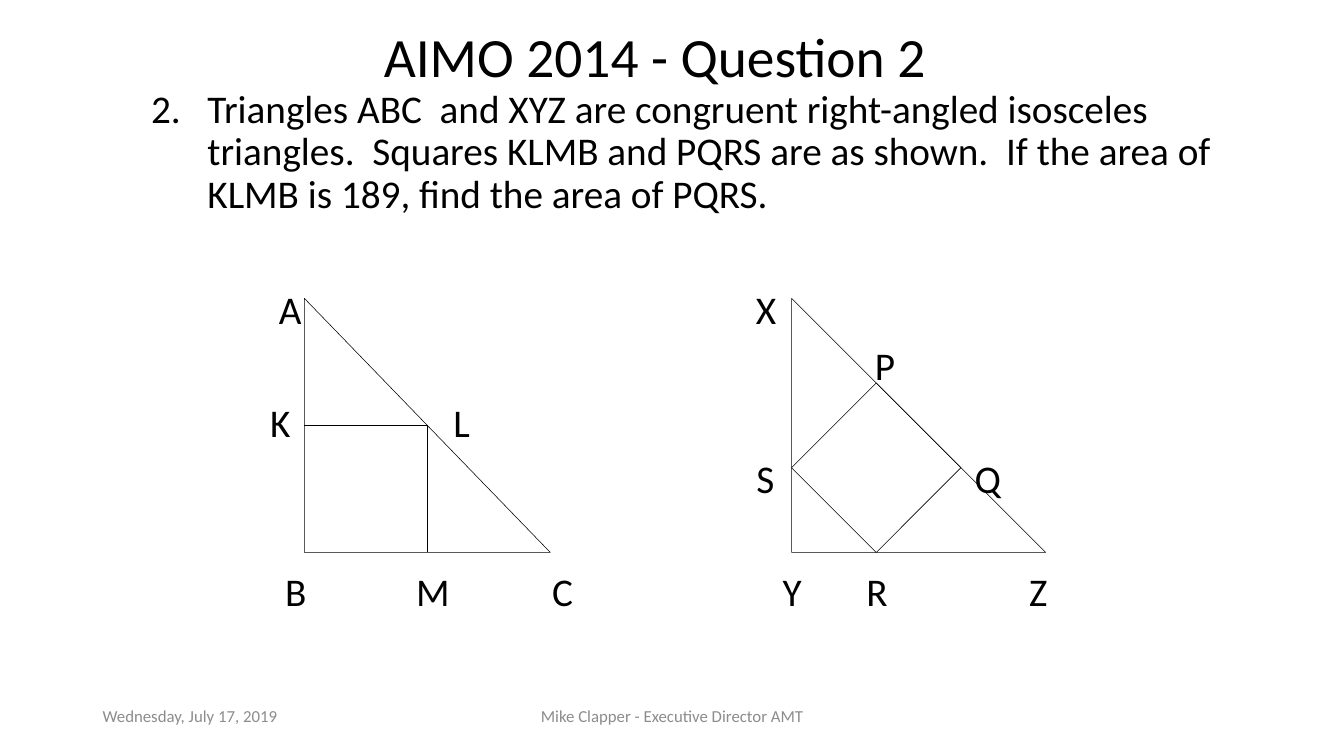
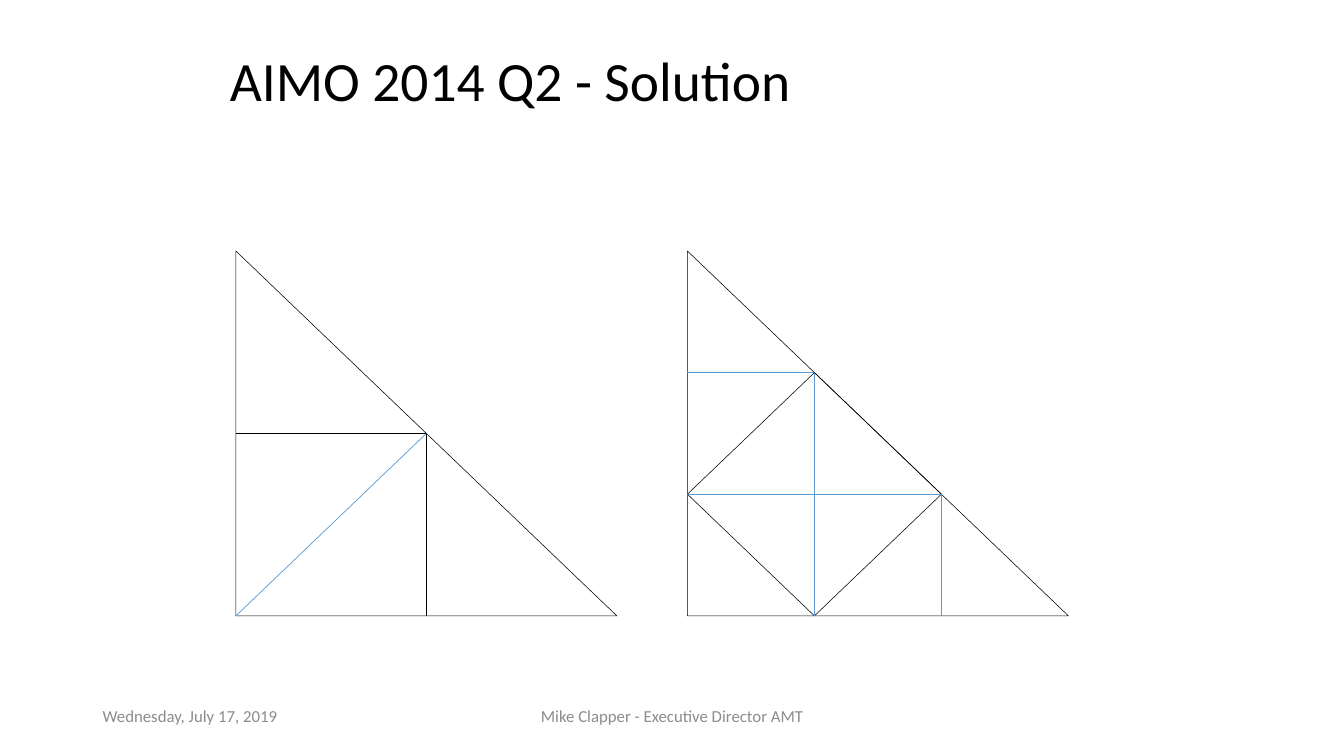
from lxml.etree import SubElement
from pptx import Presentation
from pptx.dml.color import RGBColor
from pptx.enum.shapes import MSO_CONNECTOR
from pptx.enum.text import MSO_ANCHOR, MSO_AUTO_SIZE, PP_ALIGN
from pptx.oxml.ns import qn
from pptx.util import Inches, Pt

WIDTH, HEIGHT = Inches(13.33), Inches(7.5)
BLACK, GREY, BLUE = "000000", "8C8C8C", "5B9BD5"
TITLE = {"size": Pt(39.6), "name": "Calibri"}
BODY = {"size": Pt(28), "name": "Calibri"}
FOOTER = {"size": Pt(12), "name": "Calibri"}
FOOTERS = [
    ("Wednesday, July 17, 2019", (6.9, 92.67, 22.5, 5.33), PP_ALIGN.LEFT),
    ("Mike Clapper - Executive Director AMT", (33.15, 92.67, 33.75, 5.33), PP_ALIGN.CENTER),
]
QUESTION = ("Triangles ABC  and XYZ are congruent right-angled isosceles triangles.  "
            "Squares KLMB and PQRS are as shown.  If the area of KLMB is 189, "
            "find the area of PQRS.")
LABEL_TOP, LABEL_STEP, LABEL_W, LABEL_H = 40.8, 7.47, 5, 7
LABELS = [
    {"A": 21.6, "X": 57},
    {"P": 65.85},
    {"K": 20.85, "L": 34.35},
    {"S": 56.95, "Q": 73.5},
    {},
    {"B": 22, "M": 32.2, "C": 41.85, "Y": 58.95, "R": 65.25, "Z": 77.25},
]
THIRD = 1 / 3
TRIANGLE = [(0, 1), (1, 1), (0, 0)]
CORNER_SQUARE = [(0.5, 1), (0.5, 0.5), (0, 0.5)]
TILTED_SQUARE = [(THIRD, 1), (2 * THIRD, 2 * THIRD), (THIRD, THIRD), (0, 2 * THIRD)]
HALF_CUT = [((0, 1), (0.5, 0.5))]
NINTH_CUTS = [
    ((0, THIRD), (THIRD, THIRD)),
    ((2 * THIRD, 2 * THIRD), (2 * THIRD, 1)),
    ((0, 2 * THIRD), (2 * THIRD, 2 * THIRD)),
    ((THIRD, THIRD), (THIRD, 1)),
]


def rgb(value):
    """Turn a hex string into a colour."""
    return RGBColor.from_string(value)


def point(x, y):
    """Turn percentages of the slide into lengths."""
    return round(WIDTH * x / 100), round(HEIGHT * y / 100)


def within(box, spot):
    """Locate a spot given as shares of a box."""
    left, top, width, height = box
    return point(left + width * spot[0], top + height * spot[1])


def set_all(target, values):
    """Set attributes from a dict of values."""
    for name, value in values.items():
        setattr(target, name, value)


def write(sp, text, font, color=BLACK, align=PP_ALIGN.LEFT, anchor=MSO_ANCHOR.TOP, spacing=1.0):
    """Fill a shape with one formatted paragraph and return it."""
    tf = sp.text_frame
    set_all(tf, {"word_wrap": True, "auto_size": MSO_AUTO_SIZE.NONE, "vertical_anchor": anchor})
    p = tf.paragraphs[0]
    set_all(p, {"alignment": align, "line_spacing": spacing})
    r = p.add_run()
    r.text = text
    set_all(r.font, font)
    r.font.color.rgb = rgb(color)
    return p


def add_text(s, box, text, font, **style):
    """Add a text box and return its paragraph."""
    sp = s.shapes.add_textbox(*point(*box[:2]), *point(*box[2:]))
    return write(sp, text, font, **style)


def add_numbered(s, box, text, start):
    """Add a numbered paragraph with a hanging indent."""
    pPr = add_text(s, box, text, BODY, spacing=0.9)._p.get_or_add_pPr()
    pPr.set("marL", str(Inches(0.56)))
    pPr.set("indent", str(-Inches(0.56)))
    SubElement(pPr, qn("a:buAutoNum"), type="arabicPeriod", startAt=str(start))


def add_slide(prs, title, box, align):
    """Add a slide with its title and the shared footers."""
    s = prs.slides.add_slide(prs.slide_layouts[5])
    sp = s.shapes.title
    (left, top), (width, height) = point(*box[:2]), point(*box[2:])
    set_all(sp, {"left": left, "top": top, "width": width, "height": height})
    write(sp, title, TITLE, align=align, anchor=MSO_ANCHOR.MIDDLE, spacing=0.9)
    for text, place, side in FOOTERS:
        add_text(s, place, text, FOOTER, color=GREY, align=side)
    return s


def add_outline(s, box, spots, close=True):
    """Draw a thin unfilled outline through spots of a box."""
    first, *rest = [within(box, spot) for spot in spots]
    builder = s.shapes.build_freeform(*first, scale=1.0)
    builder.add_line_segments(rest, close=close)
    sp = builder.convert_to_shape()
    sp.shadow.inherit = False
    sp.fill.background()
    sp.line.color.rgb = rgb(BLACK)
    sp.line.width = Pt(0.4)


def add_cut(s, box, start, end):
    """Draw a blue line between two spots of a box."""
    line = s.shapes.add_connector(MSO_CONNECTOR.STRAIGHT, *within(box, start), *within(box, end))
    line.line.color.rgb = rgb(BLUE)
    line.line.width = Pt(0.5)
    SubElement(line._element.spPr, qn("a:effectLst"))


def add_figure(s, box, square, close, cuts=()):
    """Draw a triangle, its inscribed square and any cuts."""
    add_outline(s, box, TRIANGLE)
    add_outline(s, box, square, close)
    for start, end in cuts:
        add_cut(s, box, start, end)


def add_labels(s):
    """Place the vertex letters on evenly spaced rows."""
    for row, letters in enumerate(LABELS):
        top = LABEL_TOP + row * LABEL_STEP - LABEL_H / 2
        for letter, middle in letters.items():
            box = (middle - LABEL_W / 2, top, LABEL_W, LABEL_H)
            add_text(s, box, letter, BODY, align=PP_ALIGN.CENTER, anchor=MSO_ANCHOR.MIDDLE)


def main():
    """Build the question and solution slides."""
    prs = Presentation()
    set_all(prs, {"slide_width": WIDTH, "slide_height": HEIGHT})

    s = add_slide(prs, "AIMO 2014 - Question 2", (11.55, 4.8, 74.35, 6.27), PP_ALIGN.CENTER)
    add_numbered(s, (10.5, 11.2, 81.25, 19), QUESTION, 2)
    add_figure(s, (22.65, 39.47, 18.3, 33.6), CORNER_SQUARE, False)
    add_figure(s, (58.9, 39.47, 18.9, 33.6), TILTED_SQUARE, True)
    add_labels(s)

    s = add_slide(prs, "AIMO 2014 Q2 - Solution", (16.35, 6.67, 64.35, 8.67), PP_ALIGN.LEFT)
    add_figure(s, (51.15, 33.2, 28.35, 48.27), TILTED_SQUARE, True, NINTH_CUTS)
    add_figure(s, (17.55, 33.2, 28.35, 48.27), CORNER_SQUARE, False, HALF_CUT)

    prs.save("out.pptx")


if __name__ == "__main__":
    main()
